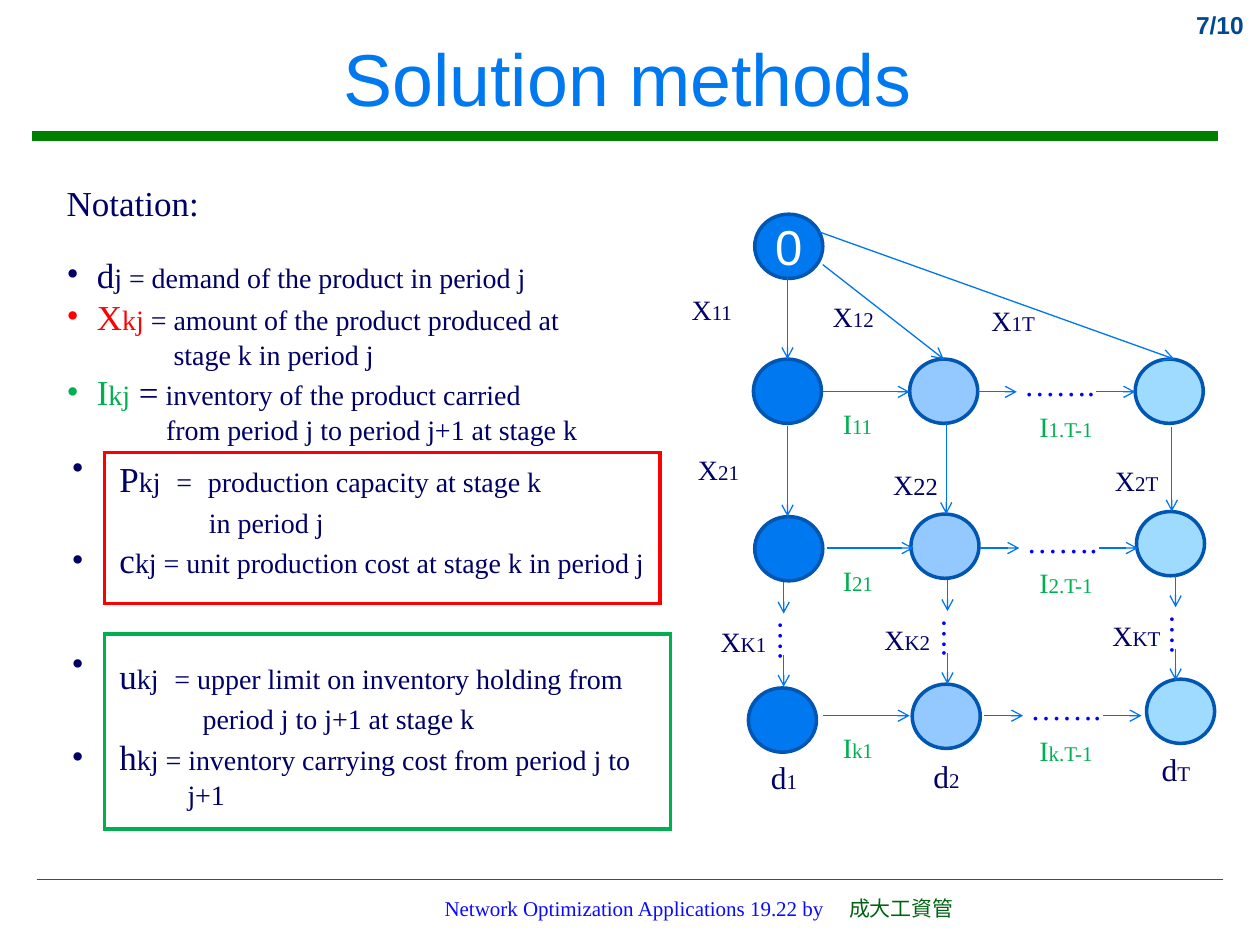
from pptx import Presentation
from pptx.dml.color import RGBColor
from pptx.enum.shapes import MSO_CONNECTOR as CONN, MSO_SHAPE as SHAPE
from pptx.enum.text import MSO_ANCHOR as ANCHOR, PP_ALIGN as ALIGN
from pptx.oxml.ns import qn
from pptx.util import Inches, Pt
from lxml.etree import SubElement

SERIF, SANS = "Times New Roman", "Arial"
NAVY, GREEN, RED = "000066", "00B050", "FF0000"
BLUE, ARROW, RIM, DOTS = "0078F0", "0075F0", "0056B0", "0000FF"
RULE = "008000"
COLUMN_FILLS = (BLUE, "93C9FF", "9EDBFF")


def rgb(value):
    return RGBColor.from_string(value)


def box(*lengths):
    return [Inches(v) for v in lengths]


def apply(target, values):
    for name, value in values.items():
        setattr(target, name, value)


def add_run(p, text, size, color=NAVY, font=SERIF, bold=False):
    r = p.add_run()
    r.text = text
    apply(r.font, {"size": Pt(size), "name": font, "bold": bold})
    r.font.color.rgb = rgb(color)


def add_text(s, at, runs, align=ALIGN.LEFT, rotation=0):
    sp = s.shapes.add_textbox(*box(*at))
    sp.rotation = rotation
    tf = sp.text_frame
    tf.word_wrap = True
    p = tf.paragraphs[0]
    p.alignment = align
    for run in runs:
        add_run(p, *run)
    return tf


def add_item(p, hang, before, runs, bullet=None):
    pPr = p._p.get_or_add_pPr()
    pPr.set("marL", str(Inches(hang)))
    pPr.set("indent", str(Inches(-hang if bullet else 0)))
    if before:
        p.space_before = Pt(before)
    if bullet:
        color = SubElement(pPr, qn("a:buClr"))
        SubElement(color, qn("a:srgbClr"), val=bullet)
        SubElement(pPr, qn("a:buFont"), typeface=SERIF)
        SubElement(pPr, qn("a:buChar"), char="•")
    for run in runs:
        add_run(p, *run)


def add_items(tf, items):
    for item in items:
        p = tf.paragraphs[-1]
        add_item(tf.add_paragraph() if p.runs else p, *item)


def add_line(s, x1, y1, x2, y2, color=ARROW, width=0.75, arrow=True):
    line = s.shapes.add_connector(CONN.STRAIGHT, *box(x1, y1, x2, y2))
    line.line.color.rgb = rgb(color)
    line.line.width = Pt(width)
    if arrow:
        SubElement(line.line._get_or_add_ln(), qn("a:tailEnd"), type="arrow")
    SubElement(line._element.spPr, qn("a:effectLst"))


def add_shape(s, kind, at, line, fill=None):
    sp = s.shapes.add_shape(kind, *box(*at))
    sp.shadow.inherit = False
    if fill:
        sp.fill.solid()
        sp.fill.fore_color.rgb = rgb(fill)
    else:
        sp.fill.background()
    sp.line.color.rgb = rgb(line)
    sp.line.width = Pt(2)
    SubElement(sp.line._get_or_add_ln(), qn("a:miter"), lim="800000")
    return sp


def add_node(s, x, y, fill):
    return add_shape(s, SHAPE.OVAL, (x, y, 0.54, 0.51), RIM, fill)


def add_label(s, x, y, letter, sub, color=NAVY, size=16, sub_size=12):
    add_text(s, (x, y, 0.75, 0.37), [(letter, size, color), (sub, sub_size, color)])


def add_title(s):
    title = s.shapes.title
    apply(title, dict(zip(("left", "top", "width", "height"), box(0.08, 0.08, 9.8, 1.06))))
    tf = title.text_frame
    tf.vertical_anchor = ANCHOR.MIDDLE
    p = tf.paragraphs[0]
    p.alignment = ALIGN.CENTER
    add_run(p, "Solution methods", 42, BLUE, SANS)


def add_frame(s):
    add_line(s, 0.25, 1.08, 9.67, 1.08, RULE, 5.25, False)
    add_line(s, 0.29, 6.98, 9.71, 6.98, RULE, 1, False)
    add_text(s, (9.06, 0.03, 0.91, 0.57), [("7/10", 14, "004992", SANS, True)], ALIGN.RIGHT)
    tf = add_text(s, (3.43, 7.06, 6.39, 0.4), [
        ("Network Optimization Applications 19.22 by\t", 12, "0A0AFF"),
        ("成大工資管", 12, "016311")])
    tabs = SubElement(tf.paragraphs[0]._p.get_or_add_pPr(), qn("a:tabLst"))
    SubElement(tabs, qn("a:tab"), pos=str(Inches(3.21)), algn="l")


def add_notation(s):
    tf = add_text(s, (0.43, 1.39, 4.6, 2.87), [("Notation:", 20)])
    add_items(tf, [
        (0.24, 17, [("d", 20), ("j = demand of the product in period j", 16)], NAVY),
        (0.24, 0, [("X", 20, RED), ("kj", 16, RED),
                   (" = amount of the product produced at", 16)], RED),
        (0.85, 0, [("stage k in period j", 16)]),
        (0.24, 0, [("I", 20, GREEN), ("kj", 16, GREEN), (" =", 20),
                   (" inventory of the product carried", 16)], GREEN),
        (0.79, 0, [("from period j to period j+1 at stage k", 16)]),
    ])


def add_limits(s):
    tf = add_text(s, (0.47, 3.36, 5, 3.1), [])
    gap = (" ", 36)
    add_items(tf, [
        (0.38, 0, [("P", 20), ("kj", 16), gap, ("=", 16), gap,
                   ("production capacity at stage k", 16)], NAVY),
        (1.09, 0, [("in period j", 16)]),
        (0.38, 0, [("c", 20), ("kj = unit production cost at stage k in period j", 16)], NAVY),
        (0.38, 26, [("u", 20), ("kj", 16), gap,
                    ("= upper limit on inventory holding from", 16)], NAVY),
        (1.04, 0, [("period j to j+1 at stage k", 16)]),
        (0.38, 0, [("h", 20), ("kj = inventory carrying cost from period j to", 16)], NAVY),
        (0.92, 0, [("j+1", 16)]),
    ])
    add_shape(s, SHAPE.RECTANGLE, (0.83, 3.59, 4.41, 1.2), RED)
    add_shape(s, SHAPE.RECTANGLE, (0.83, 5.03, 4.49, 1.55), GREEN)


def add_nodes(s):
    source = add_node(s, 5.99, 1.7, BLUE)
    tf = source.text_frame
    tf.word_wrap = False
    tf.vertical_anchor = ANCHOR.MIDDLE
    tf.paragraphs[0].alignment = ALIGN.CENTER
    add_run(tf.paragraphs[0], "0", 28, "FFFFFF", SANS)
    for row in (((5.98, 2.85), (7.22, 2.85), (9.01, 2.85)),
                ((5.99, 4.1), (7.23, 4.08), (9.02, 4.06)),
                ((5.94, 5.46), (7.24, 5.43), (9.1, 5.39))):
        for (x, y), fill in zip(row, COLUMN_FILLS):
            add_node(s, x, y, fill)


def add_production(s):
    for ends in ((6.25, 2.21, 6.25, 2.85), (6.53, 2.1, 7.49, 2.85), (6.5, 1.84, 9.32, 2.85),
                 (6.25, 3.38, 6.25, 4.1), (7.51, 3.36, 7.51, 4.08), (9.3, 3.39, 9.3, 4.06)):
        add_line(s, *ends)
    for x, y, sub, size in ((5.39, 2.27, "11", 12), (6.51, 2.33, "12", 12), (7.77, 2.36, "1T", 12),
                            (5.44, 3.54, "21", 12), (6.99, 3.66, "22", 14), (8.75, 3.63, "2T", 12)):
        add_label(s, x, y, "X", sub, sub_size=size)
    for x, y, sub in ((6.22, 4.62, "K1"), (7.52, 4.6, "K2"), (9.33, 4.57, "KT")):
        for start in (y, y + 0.58):
            add_line(s, x, start, x, start + 0.25)
        add_text(s, (x - 0.26, y + 0.33, 0.64, 0.4), [("….", 18, DOTS)], rotation=90)
        add_label(s, x - 0.6, y + 0.29, "X", sub)


def add_inventory(s):
    for y, x, shift, first, last in ((3.11, 6.53, 0, "11", "1.T-1"),
                                     (4.35, 6.56, 0.02, "21", "2.T-1"),
                                     (5.68, 6.53, 0.05, "k1", "k.T-1")):
        add_line(s, x, y, x + 0.69, y)
        for start in (7.76, 8.7):
            add_line(s, start + shift, y, start + shift + 0.31, y)
        add_text(s, (8.03 + shift, y - 0.26, 0.85, 0.4), [("…….", 18, DOTS)])
        add_label(s, 6.59, y + 0.07, "I", first, GREEN)
        add_label(s, 8.15, y + 0.09, "I", last, GREEN)


def add_demand(s):
    for x, y, sub in ((6.02, 5.97, "1"), (7.31, 5.96, "2"), (9.12, 5.9, "T")):
        add_label(s, x, y, "d", sub, size=18)


def main():
    prs = Presentation()
    prs.slide_width, prs.slide_height = box(10, 7.5)
    s = prs.slides.add_slide(prs.slide_layouts[5])
    for build in (add_frame, add_title, add_notation, add_nodes, add_production,
                  add_inventory, add_demand, add_limits):
        build(s)
    prs.save("out.pptx")


if __name__ == "__main__":
    main()
